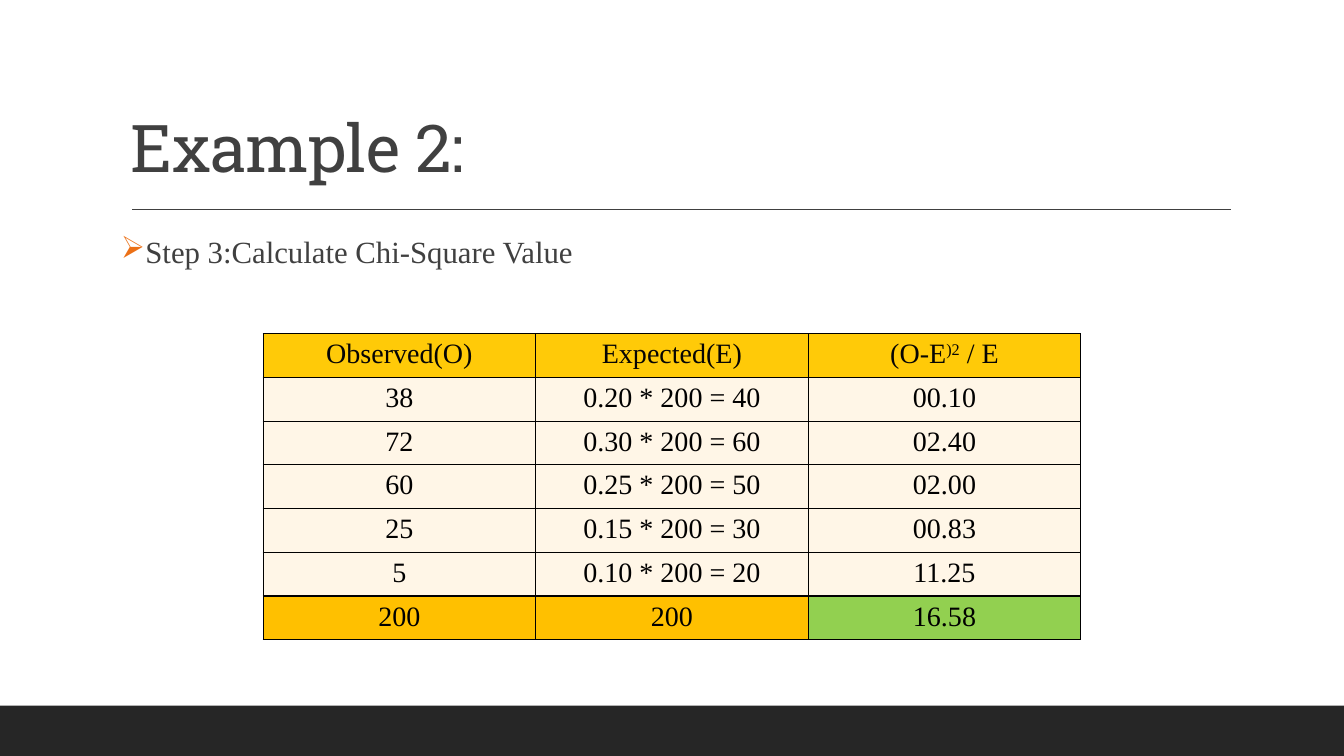
from pptx import Presentation
from pptx.dml.color import RGBColor
from pptx.enum import shapes, text
from pptx.oxml import parse_xml
from pptx.oxml.ns import nsdecls
from pptx.util import Inches, Pt


def color(code):
    return RGBColor.from_string(code)


def style(para, face, size, code):
    for run in para.runs:
        run.font.name = face
        run.font.size = Pt(size)
        run.font.color.rgb = color(code)


deck = Presentation()
deck.slide_width, deck.slide_height = Inches(13.33), Inches(7.5)
slide = deck.slides.add_slide(deck.slide_layouts[6])

# Footer band
band = slide.shapes.add_shape(shapes.MSO_SHAPE.RECTANGLE, Inches(0), Inches(7),
                              Inches(13.33), Inches(0.5))
band.shadow.inherit = False
band.fill.solid()
band.fill.fore_color.rgb = color("262626")
band.line.fill.background()

# Rule under the title
rule = slide.shapes.add_connector(shapes.MSO_CONNECTOR.STRAIGHT, Inches(1.31),
                                  Inches(2.08), Inches(12.21), Inches(2.08))
rule.line.color.rgb = color("404040")
rule.line.width = Pt(1)
rule._element.spPr.append(parse_xml(f"<a:effectLst {nsdecls('a')}/>"))

# Title
title = slide.shapes.add_textbox(Inches(1.2), Inches(0.31), Inches(11), Inches(1.59))
frame = title.text_frame
frame.word_wrap = True
frame.vertical_anchor = text.MSO_ANCHOR.BOTTOM
frame.text = "Example 2:"
para = frame.paragraphs[0]
para.line_spacing = 0.9
style(para, "Roboto Slab", 47, "404040")
para.runs[0]._r.get_or_add_rPr().set("spc", "-50")

# Step line with arrow bullet
step = slide.shapes.add_textbox(Inches(1.2), Inches(2.22), Inches(11), Inches(4.83))
frame = step.text_frame
frame.word_wrap = True
frame.margin_left = frame.margin_right = Inches(0)
frame.text = "Step 3:Calculate Chi-Square Value"
para = frame.paragraphs[0]
para.line_spacing = 1.1
para.space_after = Pt(2)
props = para._p.get_or_add_pPr()
props.set("marL", str(Inches(0.1)))
props.set("indent", str(Inches(-0.1)))
props.append(parse_xml(f'<a:buClr {nsdecls("a")}><a:srgbClr val="EC7016"/></a:buClr>'))
props.append(parse_xml(f'<a:buChar {nsdecls("a")} char="➢"/>'))
style(para, "Times New Roman", 22, "404040")

# Chi-square table
rows = [
    ("Observed(O)", "Expected(E)", "(O-E"),
    ("38", "0.20 * 200 = 40", "00.10"),
    ("72", "0.30 * 200 = 60", "02.40"),
    ("60", "0.25 * 200 = 50", "02.00"),
    ("25", "0.15 * 200 = 30", "00.83"),
    ("5", "0.10 * 200 = 20", "11.25"),
    ("200", "200", "16.58"),
]
last = len(rows) - 1
fills = {0: ["FFCA08"] * 3, last: ["FFC000", "FFC000", "92D050"]}
table = slide.shapes.add_table(len(rows), 3, Inches(2.61), Inches(3.31),
                               Inches(8.11), Inches(2.87)).table
for r, row in enumerate(rows):
    table.rows[r].height = Inches(0.41)
    for c, value in enumerate(row):
        cell = table.cell(r, c)
        cell.text_frame.text = value
        para = cell.text_frame.paragraphs[0]
        para.alignment = text.PP_ALIGN.CENTER
        if r == 0 and c == 2:
            power = para.add_run()
            power.text = ")2"
            power._r.get_or_add_rPr().set("baseline", "30000")
            para.add_run().text = " / E"
        style(para, "Times New Roman", 20, "000000" if r else "060504")
        for run in para.runs:
            run.font.bold = False
        for side in ("lnL", "lnR", "lnT", "lnB"):
            cell._tc.get_or_add_tcPr().append(parse_xml(
                f'<a:{side} {nsdecls("a")} w="{Pt(1)}"><a:solidFill>'
                f'<a:srgbClr val="000000"/></a:solidFill></a:{side}>'))
        cell.fill.solid()
        cell.fill.fore_color.rgb = color(fills.get(r, ["FFF6E7"] * 3)[c])

deck.save("out.pptx")
